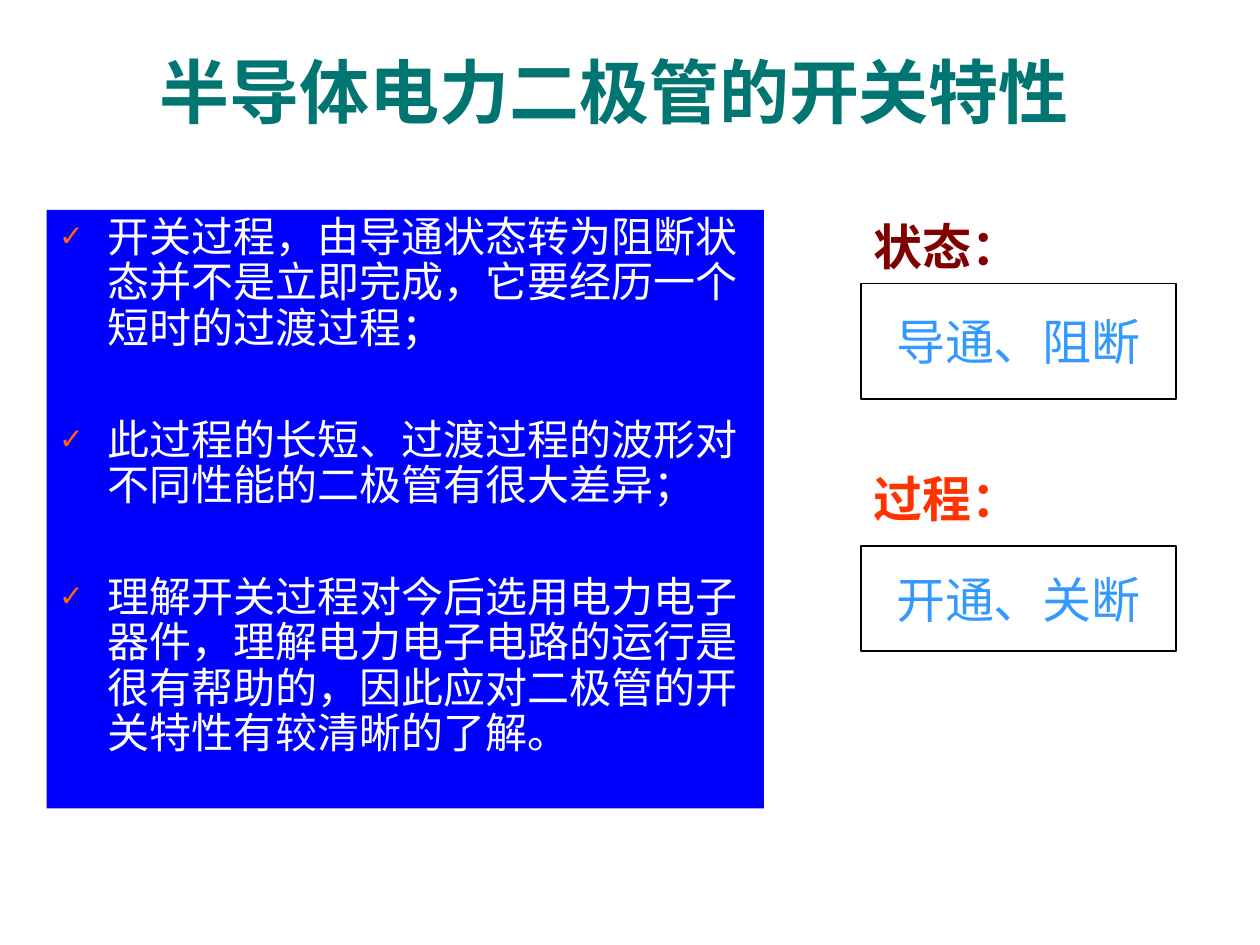
import pptx
import pptx.dml.color
import pptx.enum.shapes
import pptx.enum.text
import pptx.oxml
import pptx.oxml.ns
import pptx.util

Pt = pptx.util.Pt
MSO_ANCHOR = pptx.enum.text.MSO_ANCHOR
PP_ALIGN = pptx.enum.text.PP_ALIGN


class Theme:
    font = "Arial"
    title_size, body_size, label_size = 40, 24, 28
    title = "007572"
    panel, panel_text, bullet = "0000FF", "FFFFFF", "FF6600"
    state, process = "800000", "FF3300"
    box, box_line, box_text = "FFFFFF", "000000", "3399FF"


def rgb(color):
    return pptx.dml.color.RGBColor.from_string(color)


class SlideBuilder:
    def __init__(self, prs, theme):
        self.theme = theme
        self.slide = prs.slides.add_slide(prs.slide_layouts[1])

    def place(self, sp, left, top, width, height):
        sp.left, sp.top = Pt(left), Pt(top)
        sp.width, sp.height = Pt(width), Pt(height)

    def frame(self, sp, anchor=MSO_ANCHOR.TOP, wrap=True):
        tf = sp.text_frame
        tf.auto_size = pptx.enum.text.MSO_AUTO_SIZE.NONE
        tf.word_wrap = wrap
        tf.vertical_anchor = anchor
        return tf

    def run(self, p, text, size, color, bold=False):
        r = p.add_run()
        r.text = text
        r.font.name = self.theme.font
        r.font.size = Pt(size)
        r.font.bold = bold
        r.font.color.rgb = rgb(color)

    def title(self, text, *area):
        sp = self.slide.shapes.title
        self.place(sp, *area)
        p = self.frame(sp, wrap=False).paragraphs[0]
        p.alignment = PP_ALIGN.CENTER
        self.run(p, text, self.theme.title_size, self.theme.title, bold=True)

    def add_check_bullet(self, p, indent):
        pPr = p._p.get_or_add_pPr()
        pPr.set("marL", str(Pt(indent)))
        pPr.set("indent", str(-Pt(indent)))
        ns = pptx.oxml.ns.nsdecls("a")
        for xml in (
            f'<a:buClr {ns}><a:srgbClr val="{self.theme.bullet}"/></a:buClr>',
            f'<a:buSzPct {ns} val="70000"/>',
            f'<a:buChar {ns} char="✓"/>',
        ):
            pPr.append(pptx.oxml.parse_xml(xml))

    def checklist(self, items, *area):
        sp = self.slide.placeholders[1]
        self.place(sp, *area)
        sp.fill.solid()
        sp.fill.fore_color.rgb = rgb(self.theme.panel)
        tf = self.frame(sp)
        for i, text in enumerate(items):
            p = tf.add_paragraph() if i else tf.paragraphs[0]
            self.add_check_bullet(p, 27.4)
            p.line_spacing = 0.9
            p.space_before = Pt(38 if i else 0)
            self.run(p, text, self.theme.body_size, self.theme.panel_text)

    def label(self, text, color, *area):
        sp = self.slide.shapes.add_textbox(*map(Pt, area))
        p = self.frame(sp).paragraphs[0]
        self.run(p, text, self.theme.label_size, color, bold=True)

    def box(self, text, *area):
        sp = self.slide.shapes.add_shape(
            pptx.enum.shapes.MSO_SHAPE.RECTANGLE, *map(Pt, area))
        sp.shadow.inherit = False
        sp.fill.solid()
        sp.fill.fore_color.rgb = rgb(self.theme.box)
        sp.line.color.rgb = rgb(self.theme.box_line)
        sp.line.width = Pt(0.75)
        p = self.frame(sp, MSO_ANCHOR.MIDDLE, wrap=False).paragraphs[0]
        p.alignment = PP_ALIGN.CENTER
        self.run(p, text, self.theme.label_size, self.theme.box_text)


def main():
    prs = pptx.Presentation()
    prs.slide_width, prs.slide_height = Pt(720), Pt(540)
    theme = Theme()
    s = SlideBuilder(prs, theme)

    s.title("半导体电力二极管的开关特性", 84, 24, 534, 55.5)
    s.checklist([
        "开关过程，由导通状态转为阻断状态并不是立即完成，它要经历一个短时的过渡过程；",
        "此过程的长短、过渡过程的波形对不同性能的二极管有很大差异；",
        "理解开关过程对今后选用电力电子器件，理解电力电子电路的运行是很有帮助的，"
        "因此应对二极管的开关特性有较清晰的了解。",
    ], 26.6, 120, 410, 342)

    left = 492
    s.label("状态：", theme.state, left, 120, 117.4, 41)
    s.label("过程：", theme.process, left, 264, 117.4, 41)
    s.box("导通、阻断", left, 162, 180, 66)
    s.box("开通、关断", left, 312, 180, 60)

    prs.save("out.pptx")


if __name__ == "__main__":
    main()
